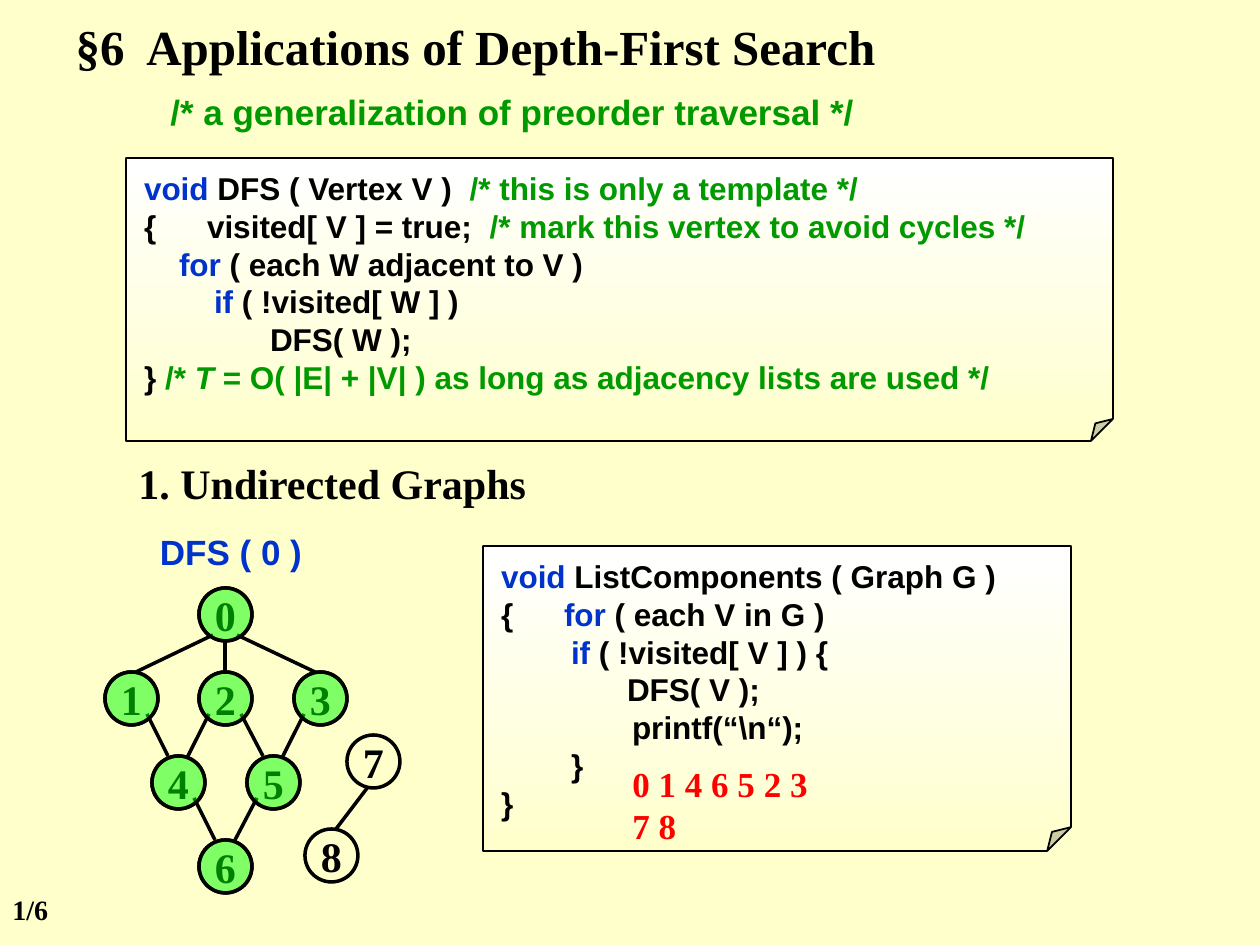
"""Build the slide on applications of depth-first search."""
from dataclasses import dataclass

from lxml.etree import SubElement
from pptx import Presentation
from pptx.dml.color import RGBColor
from pptx.enum.shapes import MSO_CONNECTOR as Link, MSO_SHAPE as Shape
from pptx.enum.text import MSO_ANCHOR as Anchor, MSO_AUTO_SIZE as Fit, PP_ALIGN as Align
from pptx.oxml.ns import qn
from pptx.util import Emu, Pt

PX_PER_INCH = 126
NODE = 53
BRACE_TAB = 39


@dataclass(frozen=True)
class Theme:
    serif: str = "Times New Roman"
    sans: str = "Arial"
    paper: str = "FFFFCC"
    white: str = "FFFFFF"
    ink: str = "000000"
    keyword: str = "0033CC"
    comment: str = "009900"
    output: str = "FF0000"
    visited: str = "00FF00"
    title: int = 28
    heading: int = 24
    label: int = 20
    code: int = 18
    page: int = 16
    outline: int = 2
    border: int = 1


THEME = Theme()

DFS_CODE = [
    (0, [("void", THEME.keyword), (" DFS ( Vertex V )  ",),
         ("/* this is only a template */", THEME.comment)]),
    (0, [("{\tvisited[ V ] = true;  ",),
         ("/* mark this vertex to avoid cycles */", THEME.comment)]),
    (35, [("for", THEME.keyword), (" ( each W adjacent to V )",)]),
    (70, [("if", THEME.keyword), (" ( !visited[ W ] )",)]),
    (126, [("DFS( W );",)]),
    (0, [("} ",), ("/* ", THEME.comment), ("T", THEME.comment, True),
         (" = O( |E| + |V| ) as long as adjacency lists are used */", THEME.comment)]),
]
COMPONENTS_CODE = [
    (0, [("void", THEME.keyword), (" ListComponents ( Graph G )",)]),
    (0, [("{\t",), ("for", THEME.keyword), (" ( each V in G )",)]),
    (70, [("if", THEME.keyword), (" ( !visited[ V ] ) {",)]),
    (126, [("DFS( V );",)]),
    (131, [("printf(“\\n“);",)]),
    (70, [("}",)]),
    (0, [("}",)]),
]
VERTICES = [(199, 588), (105, 672), (199, 672), (294, 672), (152, 756),
            (247, 756), (199, 840), (347, 735), (305, 829)]
VISITED = VERTICES[:7]
EDGES = [(0, 1), (0, 2), (0, 3), (1, 4), (2, 4), (2, 5), (3, 5), (4, 6), (5, 6), (7, 8)]
EDGE_OFFSETS = {0: (12, 21, 5), 7: (5, 26, 5)}
DIAGONAL_OFFSETS = (16, 16, 10)


def px(length):
    return Emu(round(length * 914400 / PX_PER_INCH))


def rgb(color):
    return RGBColor.from_string(color)


def add_piece(paragraph, words, color, italic=False, *, size, font):
    piece = paragraph.add_run()
    piece.text = words
    style = piece.font
    style.name, style.size, style.bold, style.italic = font, Pt(size), True, italic
    style.color.rgb = rgb(color)


def write(frame, lines, *, size, font=THEME.serif, color=THEME.ink, align=Align.LEFT,
          anchor=Anchor.TOP, wrap=True):
    """Write lines, each a string or an (indent, runs) pair, in bold."""
    frame.auto_size, frame.word_wrap, frame.vertical_anchor = Fit.NONE, wrap, anchor
    for number, line in enumerate(lines):
        paragraph = frame.add_paragraph() if number else frame.paragraphs[0]
        paragraph.alignment = align
        indent, runs = (0, [(line,)]) if isinstance(line, str) else line
        properties = paragraph._p.get_or_add_pPr()
        properties.set("marL", str(px(indent)))
        properties.set("indent", "0")
        if "\t" in runs[0][0]:
            stops = SubElement(properties, qn("a:tabLst"))
            SubElement(stops, qn("a:tab"), pos=str(px(BRACE_TAB)), algn="l")
        for words, *look in runs:
            add_piece(paragraph, words, *(look or [color]), size=size, font=font)


def add_label(slide, box, lines, **style):
    label = slide.shapes.add_textbox(*map(px, box))
    write(label.text_frame, lines, **style)


def add_title(slide, box, words):
    title = slide.shapes.title
    title.left, title.top, title.width, title.height = map(px, box)
    write(title.text_frame, [words], size=THEME.title)


def add_outlined(slide, preset, box, width):
    outlined = slide.shapes.add_shape(preset, *map(px, box))
    outlined.shadow.inherit = False
    outlined.line.color.rgb = rgb(THEME.ink)
    outlined.line.width = Pt(width)
    return outlined


def add_code_note(slide, box, code):
    note = add_outlined(slide, Shape.FOLDED_CORNER, box, THEME.border)
    geometry = note._element.spPr.find(qn("a:prstGeom"))
    guides = geometry.find(qn("a:avLst"))
    SubElement(guides, qn("a:gd"), name="adj", fmla="val 7800")
    note.fill.gradient()
    note.fill.gradient_angle = 270
    for stop, tint in zip(note.fill.gradient_stops, (THEME.white, THEME.paper)):
        stop.color.rgb = rgb(tint)
    frame = note.text_frame
    frame.margin_left, frame.margin_top = px(18), px(11)
    write(frame, code, size=THEME.code, font=THEME.sans)


def add_vertex(slide, corner, number):
    vertex = add_outlined(slide, Shape.OVAL, (*corner, NODE, NODE), THEME.outline)
    vertex.fill.background()
    write(vertex.text_frame, [str(number)], size=THEME.heading,
          align=Align.CENTER, anchor=Anchor.MIDDLE, wrap=False)


def add_visit_mark(slide, corner):
    mark = add_outlined(slide, Shape.OVAL, (*corner, NODE, NODE), THEME.outline)
    mark.fill.solid()
    mark.fill.fore_color.rgb = rgb(THEME.visited)
    tint = mark._element.spPr.find(qn("a:solidFill")).find(qn("a:srgbClr"))
    SubElement(tint, qn("a:alpha"), val="50000")


def add_edge(slide, parent, child):
    (x1, y1), (x2, y2) = ((x + NODE // 2, y + NODE // 2)
                          for x, y in (VERTICES[parent], VERTICES[child]))
    leave, drop, arrive = EDGE_OFFSETS.get(parent, DIAGONAL_OFFSETS)
    side = (x2 > x1) - (x2 < x1)
    start = (x1 + side * leave, y1 + (drop if side else NODE // 2))
    end = (x2 - side * arrive, y2 - NODE // 2)
    edge = slide.shapes.add_connector(Link.STRAIGHT, *map(px, start + end))
    edge.line.color.rgb = rgb(THEME.ink)
    edge.line.width = Pt(THEME.outline)
    SubElement(edge._element.spPr, qn("a:effectLst"))


def add_graph(slide):
    for number, corner in enumerate(VERTICES):
        add_vertex(slide, corner, number)
    for parent, child in EDGES:
        add_edge(slide, parent, child)
    for corner in VISITED:
        add_visit_mark(slide, corner)


def main():
    deck = Presentation()
    deck.slide_width, deck.slide_height = px(1260), px(945)
    slide = deck.slides.add_slide(deck.slide_layouts[5])
    slide.background.fill.solid()
    slide.background.fill.fore_color.rgb = rgb(THEME.paper)

    add_title(slide, (63, 10, 1029, 72), "§6  Applications of Depth-First Search")
    add_label(slide, (158, 84, 766, 55), ["/* a generalization of preorder traversal */"],
              size=THEME.label, font=THEME.sans, color=THEME.comment)
    add_code_note(slide, (126, 158, 987, 283), DFS_CODE)
    add_label(slide, (126, 451, 462, 63), ["1. Undirected Graphs"], size=THEME.heading)
    add_label(slide, (147, 525, 168, 53), ["DFS ( 0 )"], size=THEME.label, font=THEME.sans,
              color=THEME.keyword, align=Align.CENTER, anchor=Anchor.MIDDLE, wrap=False)
    add_graph(slide)
    add_code_note(slide, (483, 546, 588, 305), COMPONENTS_CODE)
    add_label(slide, (620, 756, 231, 97), ["0 1 4 6 5 2 3", "7 8"],
              size=THEME.label, color=THEME.output)
    add_label(slide, (0, 886, 95, 47), ["1/6"], size=THEME.page)
    deck.save("out.pptx")


if __name__ == "__main__":
    main()
